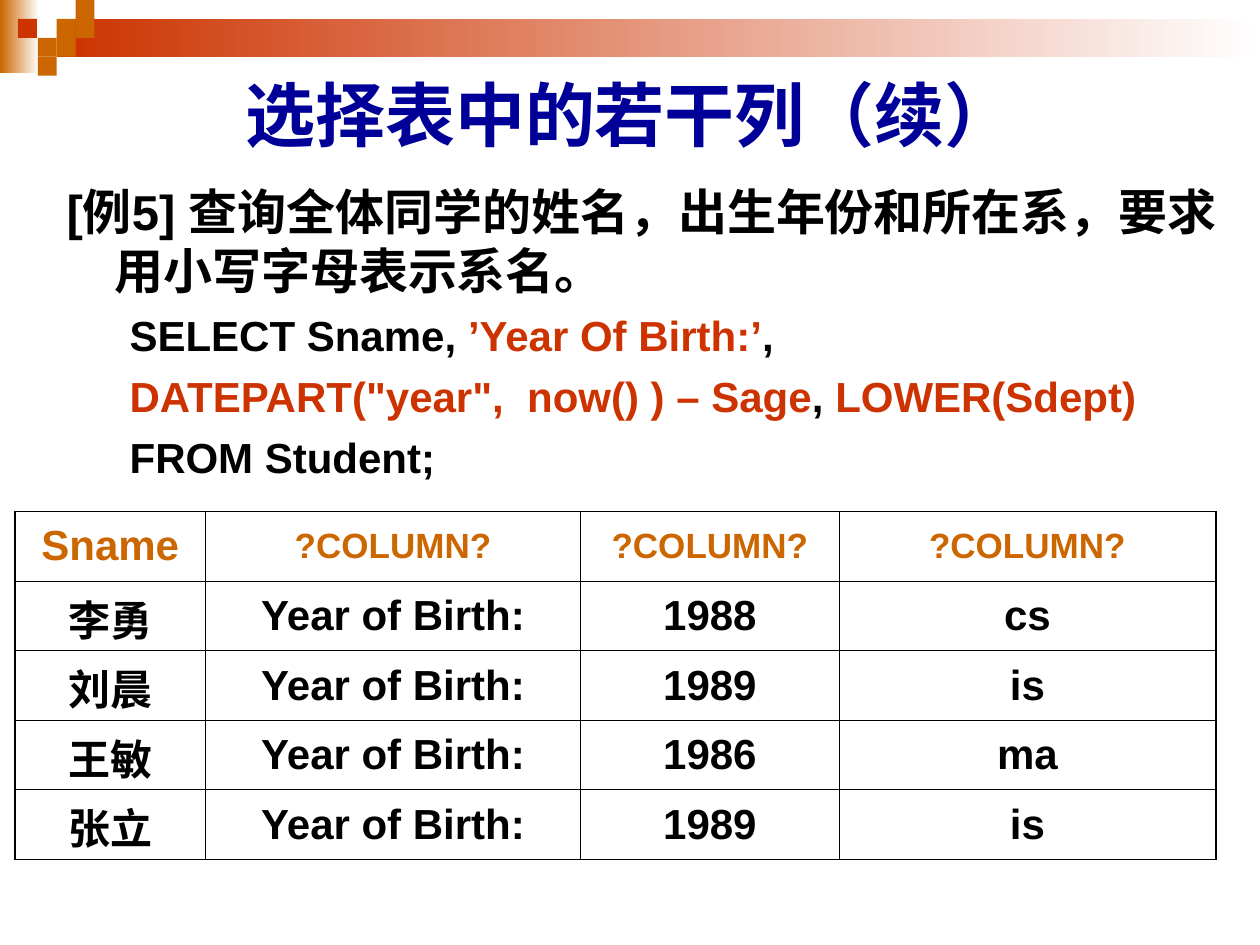
from lxml.etree import SubElement
from pptx import Presentation
from pptx.dml.color import RGBColor
from pptx.enum.shapes import MSO_SHAPE
from pptx.enum.text import MSO_ANCHOR, PP_ALIGN
from pptx.oxml.ns import qn
from pptx.util import Inches, Pt

HUES = {"ink": "000000", "title": "000099", "red": "CC3300",
        "gold": "CC6600", "white": "FFFFFF"}
UNIT = 0.15  # side of one grid square, inches


class Deck:
    def __init__(self, wide, high):
        self.prs = Presentation()
        self.prs.slide_width, self.prs.slide_height = Inches(wide), Inches(high)
        self.slide = self.prs.slides.add_slide(self.prs.slide_layouts[6])
        self.base = {"name": "Arial", "bold": True}

    def hue(self, key):
        return RGBColor.from_string(HUES[key])

    def grid(self, *spans):
        """Turn grid squares into lengths."""
        return [Inches(n * UNIT) for n in spans]

    def block(self, col, row, wide, high, key, fade=False):
        box = self.slide.shapes.add_shape(
            MSO_SHAPE.RECTANGLE, *self.grid(col, row, wide, high))
        box.shadow.inherit = False
        box.line.fill.background()
        if fade:
            box.fill.gradient()
            box.fill.gradient_angle = 0
            for stop, tone in zip(box.fill.gradient_stops, (key, "white")):
                stop.color.rgb = self.hue(tone)
        else:
            box.fill.solid()
            box.fill.fore_color.rgb = self.hue(key)

    def words(self, para, runs, size, align=PP_ALIGN.LEFT):
        para.alignment = align
        for text, key in runs:
            run = para.add_run()
            run.text = text
            for name, value in {**self.base, "size": Pt(size)}.items():
                setattr(run.font, name, value)
            run.font.color.rgb = self.hue(key)

    def frame(self, col, row, wide, high, anchor):
        box = self.slide.shapes.add_textbox(*self.grid(col, row, wide, high))
        frame = box.text_frame
        for name, value in {"word_wrap": True, "vertical_anchor": anchor}.items():
            setattr(frame, name, value)
        return frame

    def title(self, area, text):
        frame = self.frame(*area, MSO_ANCHOR.MIDDLE)
        self.words(frame.paragraphs[0], [(text, "title")], 40, PP_ALIGN.CENTER)

    def body(self, area, lead, code):
        frame = self.frame(*area, MSO_ANCHOR.TOP)
        first = frame.paragraphs[0]
        self.indent(first, 0.38, -0.38)
        self.words(first, [(lead, "ink")], 28)
        for runs in code:
            para = frame.add_paragraph()
            para.space_before = Pt(6)
            self.indent(para, 0.81, -0.31)
            self.words(para, runs, 24)

    def indent(self, para, left, hang):
        props = para._p.get_or_add_pPr()
        for name, value in {"marL": left, "indent": hang}.items():
            props.set(name, str(Inches(value)))

    def edges(self, cell, widths):
        props = cell._tc.get_or_add_tcPr()
        for side, width in widths.items():
            line = SubElement(props, qn(f"a:ln{side}"), w=str(Pt(width)))
            fill = SubElement(line, qn("a:solidFill"))
            SubElement(fill, qn("a:srgbClr"), val=HUES["ink"])

    def table(self, area, shares, rows):
        tall, wide = len(rows), len(shares)
        spot = self.grid(*area)
        table = self.slide.shapes.add_table(tall, wide, *spot).table
        for name in ("first_row", "horz_banding"):
            setattr(table, name, False)
        for column, share in zip(table.columns, shares):
            column.width = int(spot[2] * share / sum(shares))
        for r, row in enumerate(rows):
            for c, text in enumerate(row):
                cell = table.cell(r, c)
                outer = {"L": c == 0, "R": c == wide - 1,
                         "T": r == 0, "B": r == tall - 1}
                self.edges(cell, {side: 1.08 if out else 0.45
                                  for side, out in outer.items()})
                cell.fill.background()
                cell.vertical_anchor = MSO_ANCHOR.MIDDLE
                self.words(cell.text_frame.paragraphs[0],
                           [(text, "ink" if r else "gold")],
                           20 if r == 0 and c else 24, PP_ALIGN.CENTER)


def main():
    deck = Deck(10, 7.5)

    # Banner: two fading bars and a stair of squares
    deck.block(0, 0, 2.07, 3.87, "gold", fade=True)
    deck.block(3, 1, 63.67, 2, "red", fade=True)
    for col, row in [(3, 1), (4, 0), (4, 1), (2, 2), (3, 2), (2, 3)]:
        deck.block(col, row, 1, 1, "gold")
    deck.block(0.95, 1, 1, 1, "red")

    # Heading and query
    deck.title((3.33, 3.33, 60, 5.4), "选择表中的若干列（续）")
    deck.body((2.87, 9.27, 62.47, 16.8),
              "[例5] 查询全体同学的姓名，出生年份和所在系，要求用小写字母表示系名。",
              [[("SELECT Sname, ", "ink"), ("’Year Of Birth:’", "red"), (",", "ink")],
               [('DATEPART("year",  now() ) – Sage', "red"), (", ", "ink"),
                ("LOWER(Sdept)", "red")],
               [("FROM Student;", "ink")]])

    # Query result
    people = [("李勇", 1988, "cs"), ("刘晨", 1989, "is"),
              ("王敏", 1986, "ma"), ("张立", 1989, "is")]
    deck.table((0.8, 27.07, 63.53, 18.4), (1.51, 2.98, 2.05, 2.99),
               [["Sname"] + ["?COLUMN?"] * 3]
               + [[name, "Year of Birth:", str(year), dept]
                  for name, year, dept in people])

    deck.prs.save("out.pptx")


if __name__ == "__main__":
    main()
